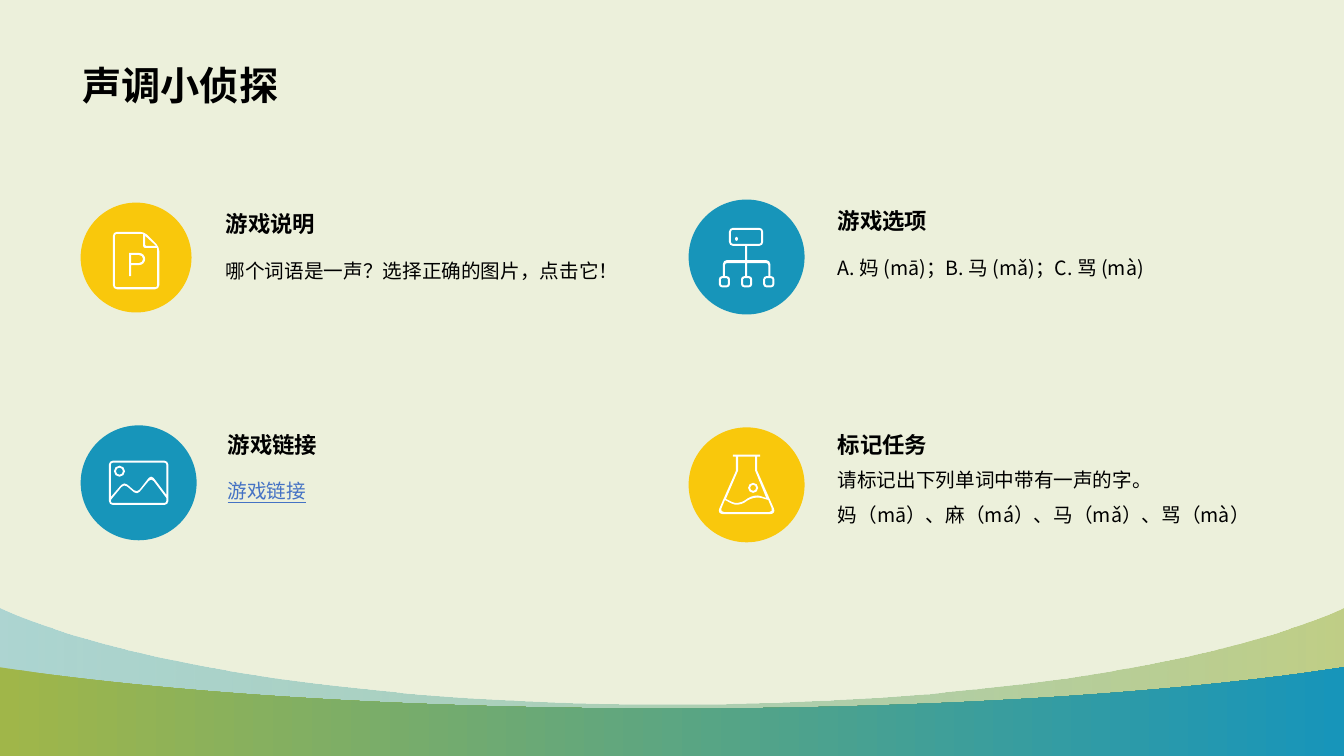
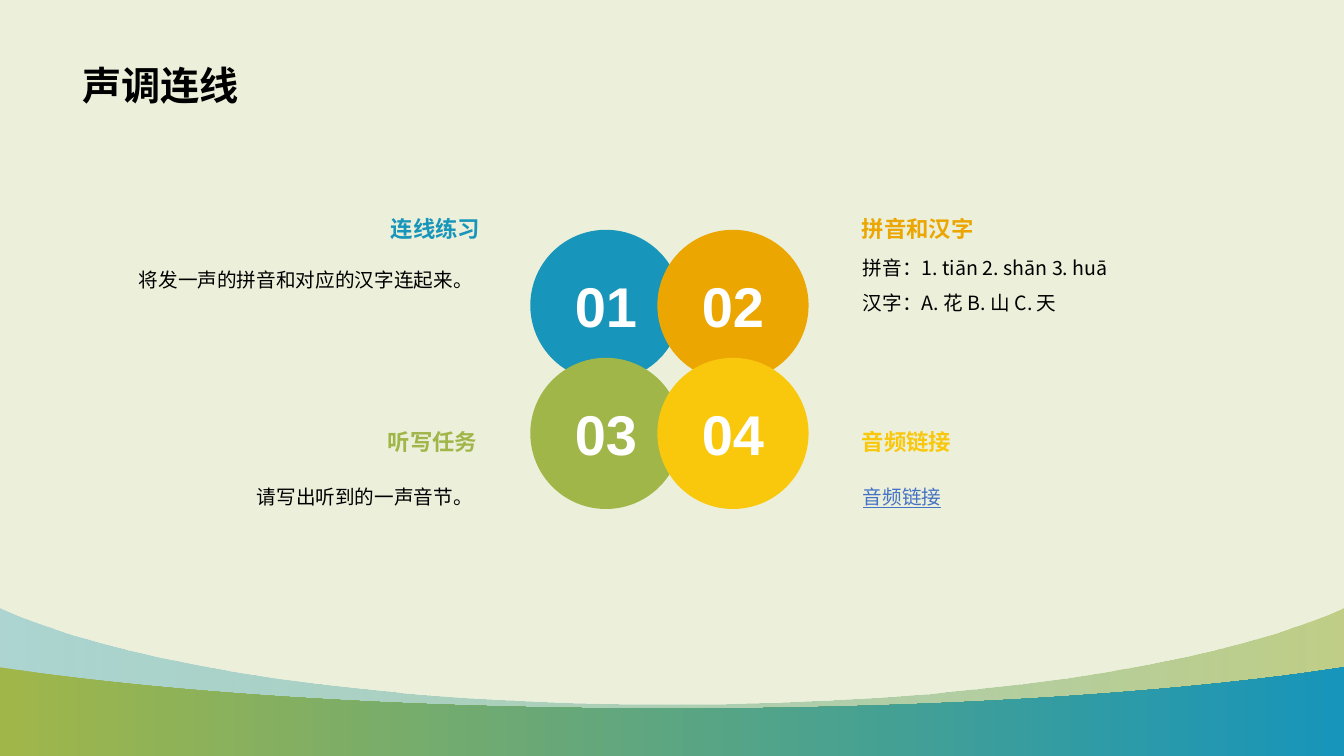
from dataclasses import dataclass

from lxml import etree
from pptx import Presentation
from pptx import util as u
from pptx.dml.color import RGBColor
from pptx.enum import lang, shapes, text
from pptx.oxml.ns import qn

PX = 9144
WIDTH, HEIGHT = 1333, 750
HAN, LATIN = "Noto Sans CJK SC", "Arial"
COLORS = {
    "paper": "ECF0DB", "ink": "000000", "white": "FFFFFF", "link": "4472C4",
    "blue": "1795BA", "green": "A0B649", "orange": "EBA602", "yellow": "F9C80C",
}
ALIGN = text.PP_ALIGN
ANCHOR = text.MSO_ANCHOR
FIT = text.MSO_AUTO_SIZE

Point = tuple[float, float]
Box = tuple[int, int, int, int]
Segment = tuple[Point, ...]
Contour = list[Segment]


@dataclass
class Hill:
    edge: int
    start: Point
    pulls: tuple[Point, Point]
    crest: Point
    angle: int
    alphas: tuple[int, int]


@dataclass
class Topic:
    heading: str
    body: str
    heading_at: Point
    body_at: Point
    disc: Box
    color: str
    icon: str = ""
    number: str = ""
    heading_width: int = 439
    body_width: int = 439
    body_height: int = 41
    align: int = ALIGN.LEFT
    linked: bool = False


def toward(origin: Point, target: Point, share: float) -> Point:
    return tuple(a + (b - a) * share for a, b in zip(origin, target))


def cut(corner: Point, neighbour: Point, radius: float) -> Point:
    dx, dy = neighbour[0] - corner[0], neighbour[1] - corner[1]
    return toward(corner, neighbour, min(0.5, radius / (dx * dx + dy * dy) ** 0.5))


def contour(*corners: tuple, radius: int = 0) -> Contour:
    points = [corner[:2] for corner in corners]
    segments = []
    for index, (x, y, *own) in enumerate(corners):
        bend = own[0] if own else radius
        point = (x, y)
        if not bend:
            segments.append((point,))
            continue
        entry = cut(point, points[index - 1], bend)
        leave = cut(point, points[(index + 1) % len(points)], bend)
        segments.append((entry,))
        segments.append((toward(entry, point, 0.55), toward(leave, point, 0.55), leave))
    return segments


def block(left: int, top: int, width: int, height: int, radius: int = 0) -> Contour:
    right, bottom = left + width, top + height
    return contour((left, top), (right, top), (right, bottom), (left, bottom), radius=radius)


def ring(left: int, top: int, width: int, height: int, radius: int) -> list[Contour]:
    return [block(left, top, width, height, radius),
            block(left + 2, top + 2, width - 4, height - 4, radius - 2)]


HILLS = [
    Hill(603, (4, 605), ((131, 661), (380, 699)), (667, 699), 180, (58, 30)),
    Hill(662, (41, 668), ((206, 690), (425, 703)), (667, 703), 0, (100, 100)),
]

ICONS = {
    "document": [
        contour((112, 230), (143, 230), (158, 245), (158, 287), (112, 287), radius=4),
        contour((114, 232), (142, 232, 0), (142, 246), (156, 246, 0), (156, 285), (114, 285), radius=2),
        contour((144, 234), (144, 244, 1), (155, 244)),
        contour((128, 274), (128, 251), (144, 251, 6), (144, 263, 6), (130, 263), (130, 274)),
        contour((130, 253), (142, 253, 4), (142, 261, 4), (130, 261)),
    ],
    "tree": [
        *ring(723, 226, 34, 18, 4),
        block(729, 235, 3, 4, 2),
        block(739, 244, 2, 14),
        block(739, 261, 2, 13),
        contour((717, 274), (717, 258, 4), (764, 258, 4), (764, 274),
                (762, 274), (762, 261, 2), (719, 261, 2), (719, 274)),
        *[part for left in (713, 735, 757) for part in ring(left, 274, 11, 11, 3)],
    ],
    "photo": [
        block(108, 457, 59, 44, 4),
        contour((110, 459, 2), (165, 459, 2), (165, 491), (150, 471, 4),
                (136, 489, 4), (123, 478, 4), (110, 493)),
        contour((110, 496), (123, 480, 4), (136, 491, 4), (150, 474, 4),
                (165, 494), (165, 499, 2), (110, 499, 2)),
        *ring(113, 462, 11, 11, 6),
    ],
    "flask": [
        contour((727, 451), (754, 451), (754, 453), (751, 453), (751, 467), (770, 510, 6),
                (711, 510, 6), (730, 467), (730, 453), (727, 453)),
        contour((732, 453), (749, 453), (749, 467), (760, 494), (748, 490, 8),
                (732, 501, 8), (720, 495), (732, 467)),
        contour((719, 496), (732, 503, 8), (748, 492, 8), (762, 496), (767, 508, 4), (714, 508, 4)),
        *ring(742, 479, 10, 10, 5),
    ],
}

GAME_TOPICS = [
    Topic("游戏说明", "哪个词语是一声？选择正确的图片，点击它！",
          (214, 203), (214, 240), (80, 201, 110, 109), "yellow", "document"),
    Topic("游戏选项", "A. 妈 (mā)；B. 马 (mǎ)；C. 骂 (mà)",
          (821, 200), (821, 237), (683, 198, 115, 114), "blue", "tree"),
    Topic("游戏链接", "游戏链接", (216, 422), (216, 459), (80, 422, 115, 114), "blue", "photo",
          body_height=82, linked=True),
    Topic("标记任务", "请标记出下列单词中带有一声的字。\n妈（mā）、麻（má）、马（mǎ）、骂（mà）",
          (821, 422), (821, 459), (683, 424, 115, 114), "yellow", "flask"),
]

LEFT_SIDE = dict(heading_width=414, body_width=407, align=ALIGN.RIGHT)
RIGHT_SIDE = dict(heading_width=414, body_width=414)
MATCH_TOPICS = [
    Topic("连线练习", "将发一声的拼音和对应的汉字连起来。", (72, 208), (72, 249),
          (526, 228, 150, 150), "blue", number="01", **LEFT_SIDE),
    Topic("拼音和汉字", "拼音：1. tiān 2. shān 3. huā\n汉字：A. 花 B. 山 C. 天", (845, 208), (846, 249),
          (652, 228, 150, 150), "orange", number="02", **RIGHT_SIDE),
    Topic("听写任务", "请写出听到的一声音节。", (69, 419), (72, 464),
          (526, 355, 150, 150), "green", number="03", **LEFT_SIDE),
    Topic("音频链接", "音频链接", (845, 419), (846, 464), (652, 355, 150, 150), "yellow",
          number="04", body_height=82, linked=True, **RIGHT_SIDE),
]


def px(*lengths: float) -> list[int]:
    return [round(length * PX) for length in lengths]


def rgb(color: str) -> RGBColor:
    return RGBColor.from_string(COLORS[color])


def write(frame, words: str, *, size: int, color: str = "ink", font: str = HAN, bold: bool = False,
          underline: bool = False, align: int = ALIGN.LEFT, anchor: int = ANCHOR.TOP,
          spacing: float = 1.0, wrap: bool = True, fit: int = FIT.NONE) -> None:
    frame.word_wrap = wrap
    frame.auto_size = fit
    frame.vertical_anchor = anchor
    paragraph = frame.paragraphs[0]
    paragraph.alignment = align
    paragraph.line_spacing = spacing
    run = paragraph.add_run()
    run.text = words
    run.font.size = u.Pt(size)
    run.font.name = font
    run.font.bold = bold
    run.font.underline = underline
    run.font.color.rgb = rgb(color)
    run.font.language_id = lang.MSO_LANGUAGE_ID.SIMPLIFIED_CHINESE
    east_asian = etree.Element(qn("a:ea"), typeface=font)
    run.font._element.find(qn("a:latin")).addnext(east_asian)


def add_text(slide, box: Box, words: str, **style) -> None:
    write(slide.shapes.add_textbox(*px(*box)).text_frame, words, **style)


def add_outline(slide, contours: list[Contour]):
    first, *others = [[px(*segment[-1]) for segment in part] for part in contours]
    builder = slide.shapes.build_freeform(*first[0], scale=1.0)
    builder.add_line_segments(first[1:], close=True)
    for ends in others:
        builder.move_to(*ends[0])
        builder.add_line_segments(ends[1:], close=True)
    outline = builder.convert_to_shape()
    outline.shadow.inherit = False
    outline.line.fill.background()
    sides = list(outline._element.iter(qn("a:lnTo")))
    segments = [segment for part in contours for segment in part[1:]]
    for side, segment in zip(sides, segments):
        if len(segment) == 3:
            curve = etree.Element(qn("a:cubicBezTo"))
            for point in segment:
                x, y = px(*point)
                etree.SubElement(curve, qn("a:pt"), x=str(x - outline.left), y=str(y - outline.top))
            side.getparent().replace(side, curve)
    return outline


def paint(shape, color: str) -> None:
    shape.fill.solid()
    shape.fill.fore_color.rgb = rgb(color)
    shape.line.fill.background()


def mirror(*points: Point) -> Segment:
    return tuple((WIDTH - x, y) for x, y in points)


def add_hill(slide, hill: Hill) -> None:
    near, far = hill.pulls
    rim = [
        ((0, hill.edge),), (hill.start,), (near, far, hill.crest),
        mirror(far, near, hill.start), mirror((0, hill.edge)),
        ((WIDTH, HEIGHT),), ((0, HEIGHT),),
    ]
    shape = add_outline(slide, [rim])
    shape.fill.gradient()
    shape.fill.gradient_angle = hill.angle
    for stop, color, position, alpha in zip(shape.fill.gradient_stops, ("green", "blue"), (0, 1), hill.alphas):
        stop.color.rgb = rgb(color)
        stop.position = position
        tint = stop._gs.find(qn("a:srgbClr"))
        etree.SubElement(tint, qn("a:alpha"), val=str(alpha * 1000))


def add_topic(slide, topic: Topic) -> None:
    disc = slide.shapes.add_shape(shapes.MSO_SHAPE.OVAL, *px(*topic.disc))
    disc.shadow.inherit = False
    paint(disc, topic.color)
    if topic.number:
        write(disc.text_frame, topic.number, size=40, font=LATIN, color="white", bold=True,
              align=ALIGN.CENTER, anchor=ANCHOR.MIDDLE, wrap=False)
    if topic.icon:
        paint(add_outline(slide, ICONS[topic.icon]), "white")
    add_text(slide, (*topic.heading_at, topic.heading_width, 37), topic.heading, size=16, bold=True,
             color=topic.color if topic.number else "ink", align=topic.align,
             anchor=ANCHOR.BOTTOM, fit=FIT.SHAPE_TO_FIT_TEXT)
    add_text(slide, (*topic.body_at, topic.body_width, topic.body_height), topic.body, size=14,
             spacing=1.5, color="link" if topic.linked else "ink", underline=topic.linked,
             align=topic.align, fit=FIT.SHAPE_TO_FIT_TEXT)


def add_page(deck, title: str, topics: list[Topic]) -> None:
    slide = deck.slides.add_slide(deck.slide_layouts[6])
    slide.background.fill.solid()
    slide.background.fill.fore_color.rgb = rgb("paper")
    for hill in HILLS:
        add_hill(slide, hill)
    for topic in topics:
        add_topic(slide, topic)
    add_text(slide, (72, 14, 1188, 98), title, size=28, bold=True, anchor=ANCHOR.BOTTOM)


def main() -> None:
    deck = Presentation()
    deck.slide_width, deck.slide_height = px(WIDTH, HEIGHT)
    add_page(deck, "声调小侦探", GAME_TOPICS)
    add_page(deck, "声调连线", MATCH_TOPICS)
    deck.save("out.pptx")


if __name__ == "__main__":
    main()
